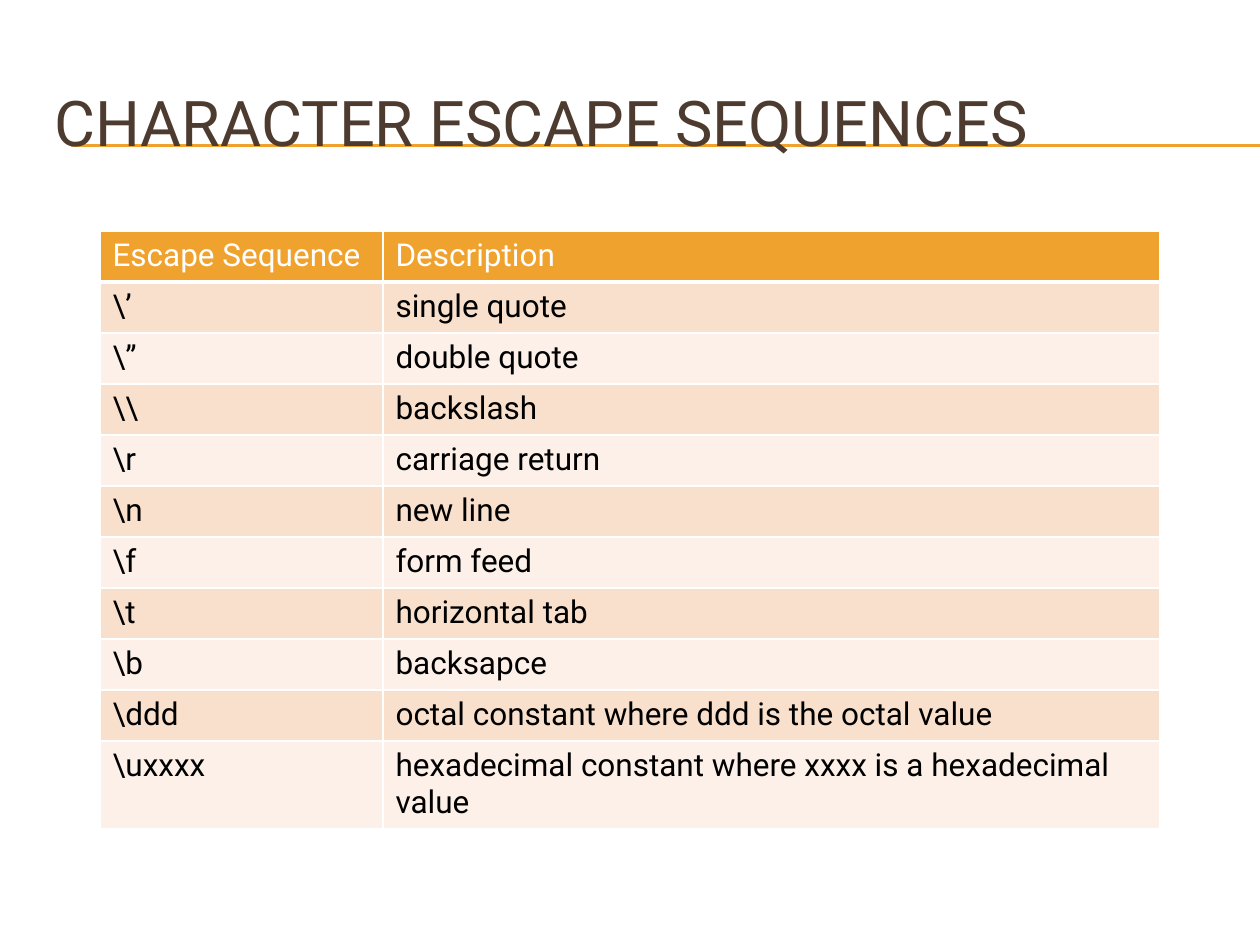
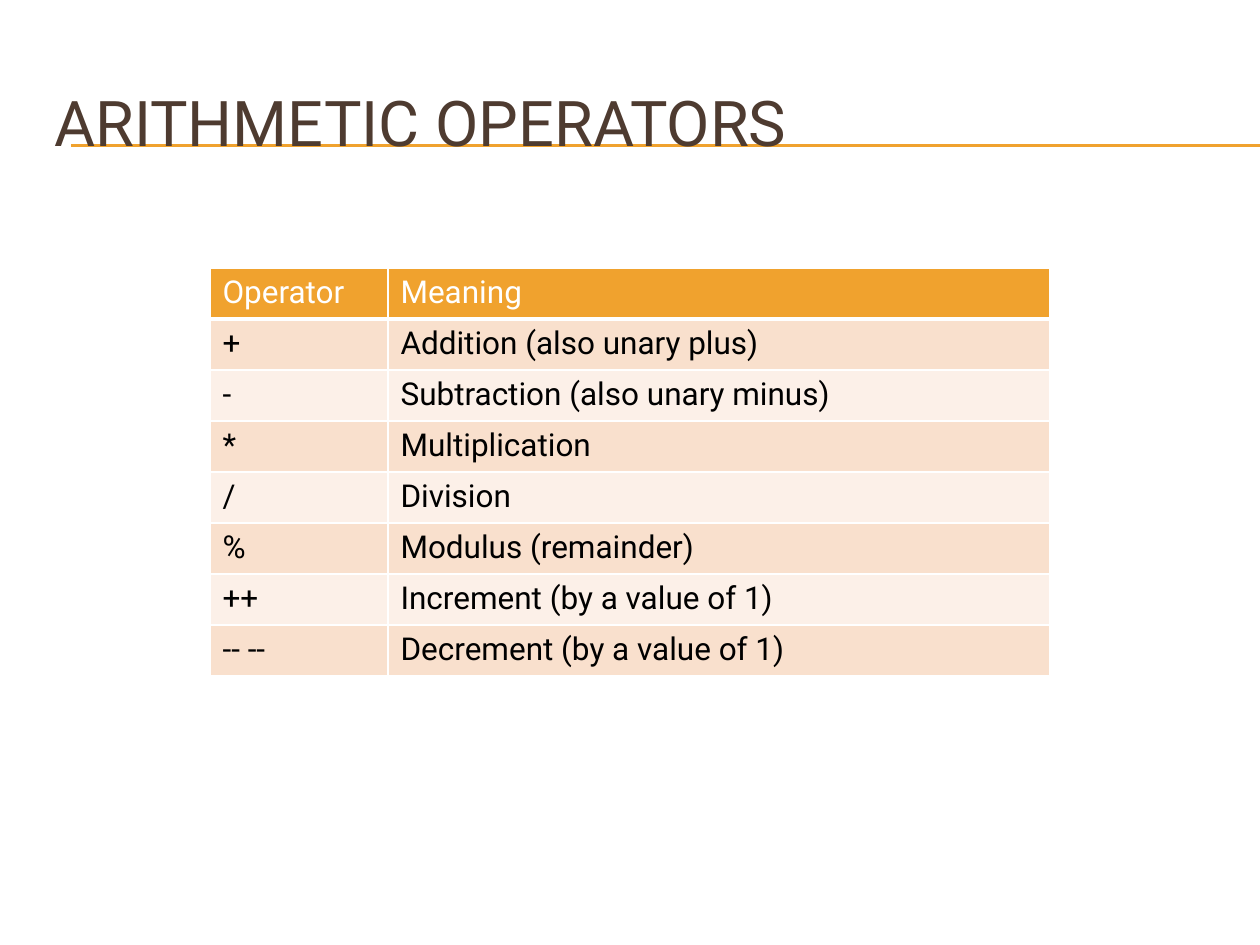
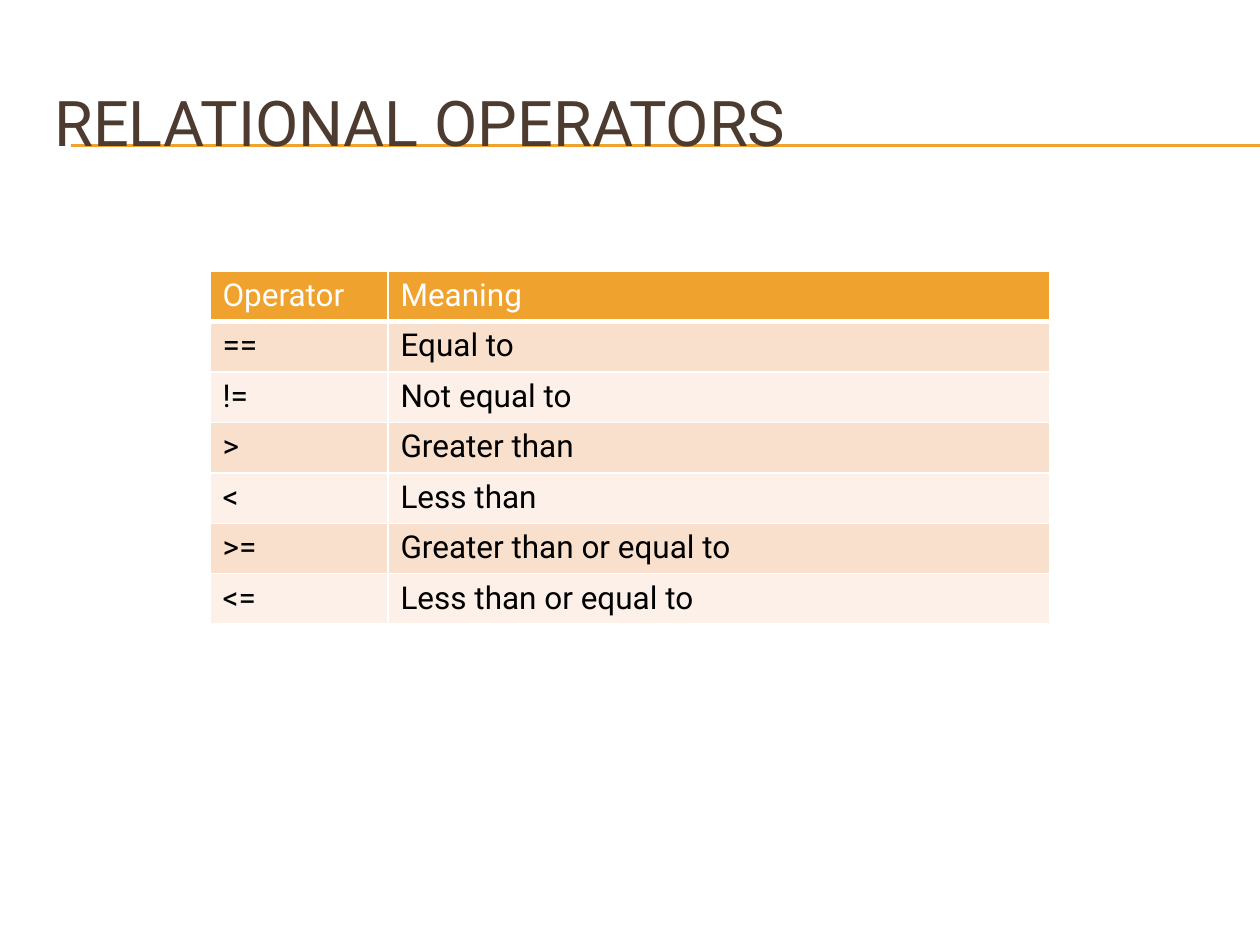
from lxml.etree import SubElement
from pptx import Presentation
from pptx.dml.color import RGBColor
from pptx.enum.shapes import MSO_CONNECTOR
from pptx.enum.text import MSO_ANCHOR
from pptx.oxml.ns import qn
from pptx.util import Emu, Pt

FONT = "Roboto"
COLORS = {
    "accent": "F0A22E",
    "title": "4E3B30",
    "dark": "F9E0CD",
    "light": "FCF0E8",
    "white": "FFFFFF",
    "black": "000000",
}
WIDE, HIGH = 1260, 945
TITLE_BOX = (42, 63, 1197, 116)
RULE_LEFT, RULE_TOPS = 71, (145, 146)

ESCAPES = [
    ("Escape Sequence", "Description"),
    (r"\’", "single quote"),
    (r"\”", "double quote"),
    (r"\\", "backslash"),
    (r"\r", "carriage return"),
    (r"\n", "new line"),
    (r"\f", "form feed"),
    (r"\t", "horizontal tab"),
    (r"\b", "backsapce"),
    (r"\ddd", "octal constant where ddd is the octal value"),
    (r"\uxxxx", "hexadecimal constant where xxxx is a hexadecimal value"),
]
MATHS = [
    ("Operator", "Meaning"),
    ("+", "Addition (also unary plus)"),
    ("-", "Subtraction (also unary minus)"),
    ("*", "Multiplication"),
    ("/", "Division"),
    ("%", "Modulus (remainder)"),
    ("++", "Increment (by a value of 1)"),
    ("-- --", "Decrement (by a value of 1)"),
]
TESTS = [
    ("Operator", "Meaning"),
    ("==", "Equal to"),
    ("!=", "Not equal to"),
    (">", "Greater than"),
    ("<", "Less than"),
    (">=", "Greater than or equal to"),
    ("<=", "Less than or equal to"),
]

# Title, rows, table corner, column widths, row height
PAGES = [
    ("CHARACTER ESCAPE SEQUENCES", ESCAPES, (100, 231), (283, 777), 51),
    ("ARITHMETIC OPERATORS", MATHS, (210, 268), (178, 662), 51),
    ("RELATIONAL OPERATORS", TESTS, (210, 271), (178, 662), 45),
]


def px(count):
    return Emu(round(count * 914400 / 126))


def color(name):
    return RGBColor.from_string(COLORS[name])


def style(para, size, name):
    font = para.font
    font.name, font.size, font.bold = FONT, Pt(size), False
    font.color.rgb = color(name)


def add_rules(slide):
    """Double line that runs to the right edge."""
    for top in RULE_TOPS:
        rule = slide.shapes.add_connector(
            MSO_CONNECTOR.STRAIGHT, px(RULE_LEFT), px(top), px(WIDE), px(top))
        rule.line.color.rgb = color("accent")
        rule.line.width = Pt(0.75)
        SubElement(rule._element.spPr, qn("a:effectLst"))


def add_title(slide, text, box):
    frame = slide.shapes.add_textbox(*map(px, box)).text_frame
    frame.word_wrap = True
    frame.vertical_anchor = MSO_ANCHOR.MIDDLE
    frame.text = text
    style(frame.paragraphs[0], 36, "title")


def add_edges(cell, base):
    """White borders; the bottom one takes its own width."""
    props = cell._tc.get_or_add_tcPr()
    for side, width in zip("LRTB", (1, 1, 1, base)):
        edge = SubElement(props, qn(f"a:ln{side}"), w=str(Pt(width)))
        fill = SubElement(edge, qn("a:solidFill"))
        SubElement(fill, qn("a:srgbClr"), val=COLORS["white"])


def add_grid(slide, rows, corner, widths, height):
    box = (*corner, sum(widths), height * len(rows))
    table = slide.shapes.add_table(
        len(rows), len(widths), *map(px, box)).table
    for column, width in zip(table.columns, widths):
        column.width = px(width)
    for i, row in enumerate(rows):
        table.rows[i].height = px(height)
        head = i == 0
        band = "accent" if head else ("light", "dark")[i % 2]
        for j, text in enumerate(row):
            cell = table.cell(i, j)
            add_edges(cell, 3 if head else 1)
            cell.fill.solid()
            cell.fill.fore_color.rgb = color(band)
            cell.text = text
            style(cell.text_frame.paragraphs[0], 18,
                  "white" if head else "black")


def add_page(deck, title, *grid):
    slide = deck.slides.add_slide(deck.slide_layouts[6])
    add_rules(slide)
    add_title(slide, title, TITLE_BOX)
    add_grid(slide, *grid)


def main():
    deck = Presentation()
    deck.slide_width, deck.slide_height = px(WIDE), px(HIGH)
    for page in PAGES:
        add_page(deck, *page)
    deck.save("out.pptx")


if __name__ == "__main__":
    main()
